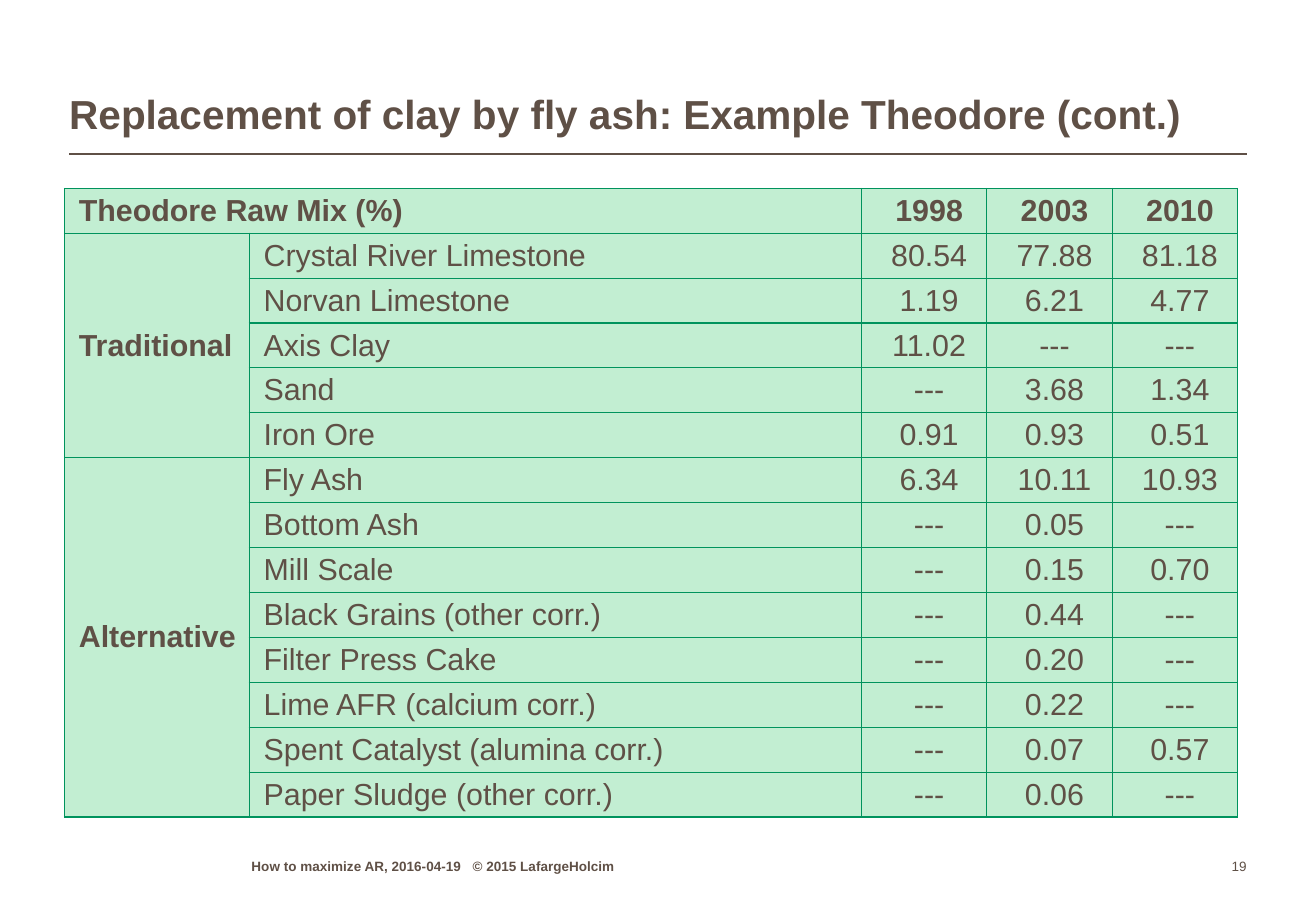
from pptx import Presentation
from pptx.dml.color import RGBColor
from pptx.enum.shapes import MSO_CONNECTOR
from pptx.enum.text import MSO_ANCHOR as ANCHOR, MSO_AUTO_SIZE as AUTO, PP_ALIGN as ALIGN
from pptx.oxml import parse_xml
from pptx.oxml.ns import nsdecls
from pptx.util import Inches, Pt

BROWN, GREEN, MINT = "5F5046", "00935D", "C2EED2"
MARGIN = 5.26
CONTENT = 100 - 2 * MARGIN
FOOTER_TOP, FOOTER_HEIGHT = 93.6, 2.4

YEARS = ["1998", "2003", "2010"]
RAW_MIX = {
    "Traditional": [
        ("Crystal River Limestone", "80.54", "77.88", "81.18"),
        ("Norvan Limestone", "1.19", "6.21", "4.77"),
        ("Axis Clay", "11.02", "---", "---"),
        ("Sand", "---", "3.68", "1.34"),
        ("Iron Ore", "0.91", "0.93", "0.51"),
    ],
    "Alternative": [
        ("Fly Ash", "6.34", "10.11", "10.93"),
        ("Bottom Ash", "---", "0.05", "---"),
        ("Mill Scale", "---", "0.15", "0.70"),
        ("Black Grains (other corr.)", "---", "0.44", "---"),
        ("Filter Press Cake", "---", "0.20", "---"),
        ("Lime AFR (calcium corr.)", "---", "0.22", "---"),
        ("Spent Catalyst (alumina corr.)", "---", "0.07", "0.57"),
        ("Paper Sludge (other corr.)", "---", "0.06", "---"),
    ],
}


def rgb(value):
    return RGBColor.from_string(value)


def write(tf, text, size=18, bold=False, color=BROWN, align=ALIGN.LEFT, spacing=None, tab=None):
    """Fill the first paragraph; tab is the position of a tab stop in EMU."""
    p = tf.paragraphs[0]
    p.alignment = align
    if spacing:
        p.line_spacing = spacing
    if tab:
        p._p.get_or_add_pPr().append(parse_xml(
            f'<a:tabLst {nsdecls("a")}><a:tab pos="{tab}" algn="l"/></a:tabLst>'))
    r = p.add_run()
    r.text = text
    r.font.name, r.font.size, r.font.bold = "Arial", Pt(size), bold
    r.font.color.rgb = rgb(color)


class SlideBuilder:
    """Places elements on a grid of 100 columns by 100 rows."""

    def __init__(self, prs):
        self.s = prs.slides.add_slide(prs.slide_layouts[5])
        self.col, self.row = prs.slide_width / 100, prs.slide_height / 100

    def box(self, x, y, w, h):
        return (round(x * self.col), round(y * self.row),
                round(w * self.col), round(h * self.row))

    def frame(self, sp):
        """Give a shape's text no insets and a bottom anchor."""
        tf = sp.text_frame
        tf.margin_left = tf.margin_top = tf.margin_right = tf.margin_bottom = 0
        tf.word_wrap, tf.auto_size = True, AUTO.NONE
        tf.vertical_anchor = ANCHOR.BOTTOM
        return tf

    def title(self, text, *place):
        sp = self.s.shapes.title
        sp.left, sp.top, sp.width, sp.height = self.box(*place)
        write(self.frame(sp), text, size=24, bold=True, spacing=0.95)

    def text(self, text, *place, **style):
        sp = self.s.shapes.add_textbox(*self.box(*place))
        write(self.frame(sp), text, **style)

    def rule(self, x, y, w):
        left, top, width, _ = self.box(x, y, w, 0)
        line = self.s.shapes.add_connector(MSO_CONNECTOR.STRAIGHT, left, top, left + width, top)
        line.line.color.rgb, line.line.width = rgb(BROWN), Pt(1)
        line._element.spPr.append(parse_xml(f'<a:effectLst {nsdecls("a")}/>'))

    def table(self, x, y, widths, row_height, n_rows):
        place = self.box(x, y, sum(widths), row_height * n_rows)
        table = self.s.shapes.add_table(n_rows, len(widths), *place).table
        for column, width in zip(table.columns, widths):
            column.width = round(width * self.col)
        for row in table.rows:
            row.height = round(row_height * self.row)
        for cell in table.iter_cells():
            self.style_cell(cell)
        return table

    def style_cell(self, cell):
        cell.margin_left, cell.margin_right = Inches(0.12), Inches(0.04)
        cell.margin_top = cell.margin_bottom = Inches(0.02)
        cell.vertical_anchor = ANCHOR.MIDDLE
        tc_pr = cell._tc.get_or_add_tcPr()
        for side in "LRTB":
            tc_pr.append(parse_xml(
                f'<a:ln{side} {nsdecls("a")} w="{Pt(0.75)}"><a:solidFill>'
                f'<a:srgbClr val="{GREEN}"/></a:solidFill></a:ln{side}>'))
        cell.fill.solid()
        cell.fill.fore_color.rgb = rgb(MINT)


def fill_raw_mix(table):
    def put(row, col, text, bold=False):
        align = ALIGN.CENTER if col > 1 else ALIGN.LEFT
        write(table.cell(row, col).text_frame, text, bold=bold, align=align)

    table.cell(0, 0).merge(table.cell(0, 1))
    put(0, 0, "Theodore Raw Mix (%)", bold=True)
    for col, year in enumerate(YEARS, 2):
        put(0, col, year, bold=True)
    top = 1
    for group, materials in RAW_MIX.items():
        table.cell(top, 0).merge(table.cell(top + len(materials) - 1, 0))
        put(top, 0, group, bold=True)
        for row, material in enumerate(materials, top):
            for col, text in enumerate(material, 1):
                put(row, col, text)
        top += len(materials)


def main():
    prs = Presentation()
    prs.slide_width, prs.slide_height = Inches(10.83), Inches(7.5)
    slide = SlideBuilder(prs)
    slide.rule(MARGIN, 16.93, CONTENT)
    slide.title("Replacement of clay by fly ash: Example Theodore (cont.)",
                MARGIN, 2.8, CONTENT, 12.4)
    n_rows = 1 + sum(len(materials) for materials in RAW_MIX.values())
    fill_raw_mix(slide.table(4.89, 20.67, [14.04, 46.54] + [9.53] * len(YEARS), 4.93, n_rows))
    slide.text("How to maximize AR, 2016-04-19\t© 2015 LafargeHolcim",
               19.11, FOOTER_TOP, 32.04, FOOTER_HEIGHT, size=8, bold=True, tab=Inches(1.82))
    number_width = 4.34
    slide.text("19", MARGIN + CONTENT - number_width, FOOTER_TOP, number_width, FOOTER_HEIGHT,
               size=8, align=ALIGN.RIGHT)
    prs.save("out.pptx")


if __name__ == "__main__":
    main()
